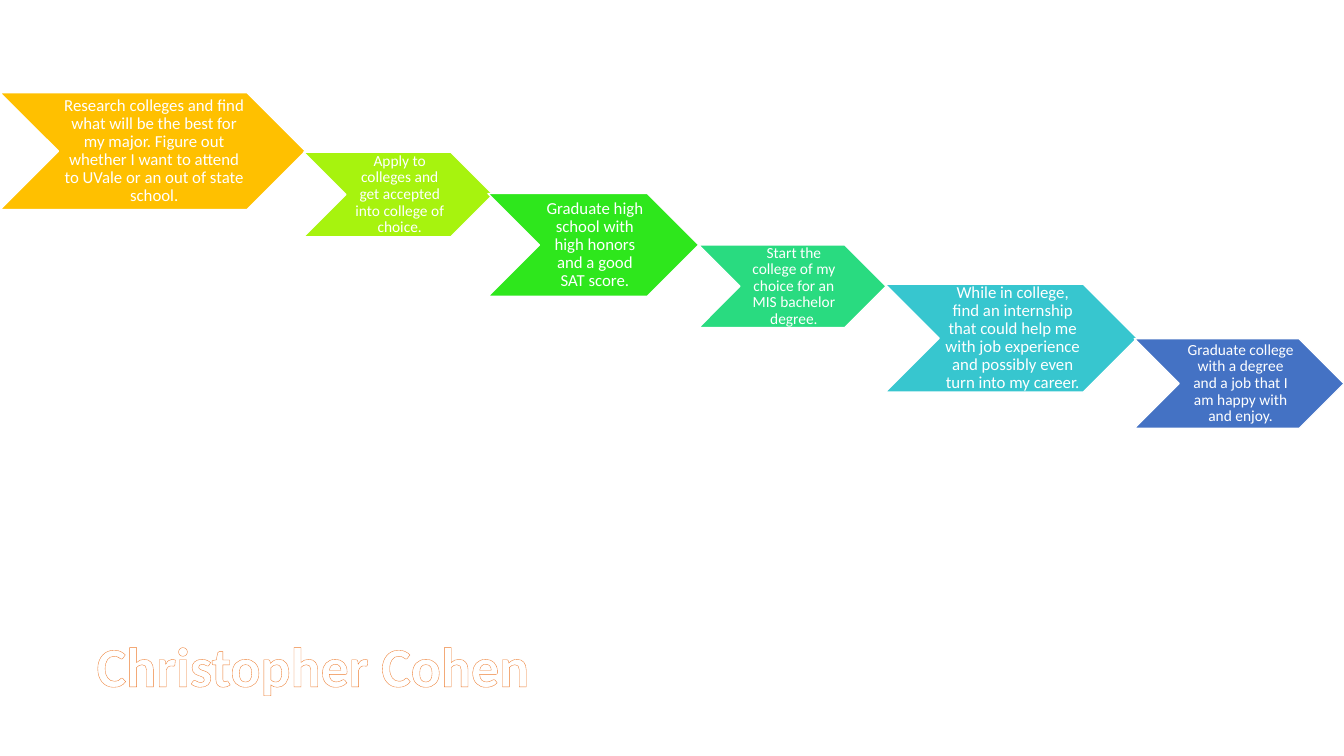
from lxml.etree import SubElement as Sub
from pptx import Presentation
from pptx.dml.color import RGBColor as RGB
from pptx.enum.shapes import MSO_SHAPE as Shape
from pptx.enum.text import MSO_ANCHOR as Anchor, MSO_AUTO_SIZE as Fit, PP_ALIGN as Align
from pptx.oxml.ns import qn
from pptx.util import Pt

PX = 9144
WHITE = "FFFFFF"
STEPS = [
    (0, 92, 303, 116, "FFC000", 12, "Research colleges and find what will be the best for my major. "
     "Figure out whether I want to attend to UVale or an out of state school."),
    (301, 151, 188, 84, "A7F30E", 11, "Apply to colleges and get accepted into college of choice."),
    (484, 192, 209, 102, "2EE71C", 12, "Graduate high school with high honors and a good SAT score."),
    (693, 243, 186, 82, "29DB80", 11, "Start the college of my choice for an MIS bachelor degree."),
    (878, 282, 250, 107, "37C6CF", 12, "While in college, find an internship that could help me "
     "with job experience and possibly even turn into my career."),
    (1125, 336, 208, 89, "4472C4", 11, "Graduate college with a degree and a job that I am happy with and enjoy."),
]


def px(*vals):
    return [v * PX for v in vals]


def tint(code):
    return RGB.from_string(code)


def put(item, **vals):
    for key, val in vals.items():
        setattr(item, key, val)


class Deck:
    """Holds the text style and the current slide."""

    def __init__(self, wide, high):
        self.show = Presentation()
        put(self.show, slide_width=wide * PX, slide_height=high * PX)
        self.slide = self.show.slides.add_slide(self.show.slide_layouts[6])
        self.font = {"name": "Calibri"}

    def label(self, frame, text, size, **style):
        frame.word_wrap = True
        run = frame.paragraphs[0].add_run()
        run.text = text
        put(run.font, size=Pt(size), **self.font, **style)
        run.font.color.rgb = tint(WHITE)
        return run

    def step(self, x, y, wide, high, fill, size, text):
        shape = self.slide.shapes.add_shape(Shape.CHEVRON, *px(x, y, wide, high))
        shape.shadow.inherit = False
        shape.fill.solid()
        shape.fill.fore_color.rgb = tint(fill)
        shape.line.color.rgb = tint(WHITE)
        shape.line.width = Pt(1)
        frame = shape.text_frame
        left, rest = px(5, 2)
        put(frame, vertical_anchor=Anchor.MIDDLE, margin_left=left,
            margin_top=rest, margin_right=rest, margin_bottom=rest)
        put(frame.paragraphs[0], alignment=Align.CENTER, line_spacing=0.9)
        self.label(frame, text, size)

    def name(self, x, y, wide, high, text, size, edge, width):
        frame = self.slide.shapes.add_textbox(*px(x, y, wide, high)).text_frame
        frame.auto_size = Fit.SHAPE_TO_FIT_TEXT
        run = self.label(frame, text, size, bold=True)
        props = run._r.get_or_add_rPr()
        line = Sub(props, qn("a:ln"), w=str(int(Pt(width))))
        Sub(Sub(line, qn("a:solidFill")), qn("a:srgbClr"), val=edge)
        props.insert(0, line)


def main():
    deck = Deck(1333, 750)
    for step in STEPS:
        deck.step(*step)
    deck.name(86, 621, 529, 145, "Christopher Cohen", 40, "ED7D31", 0.52)
    deck.show.save("out.pptx")


if __name__ == "__main__":
    main()
